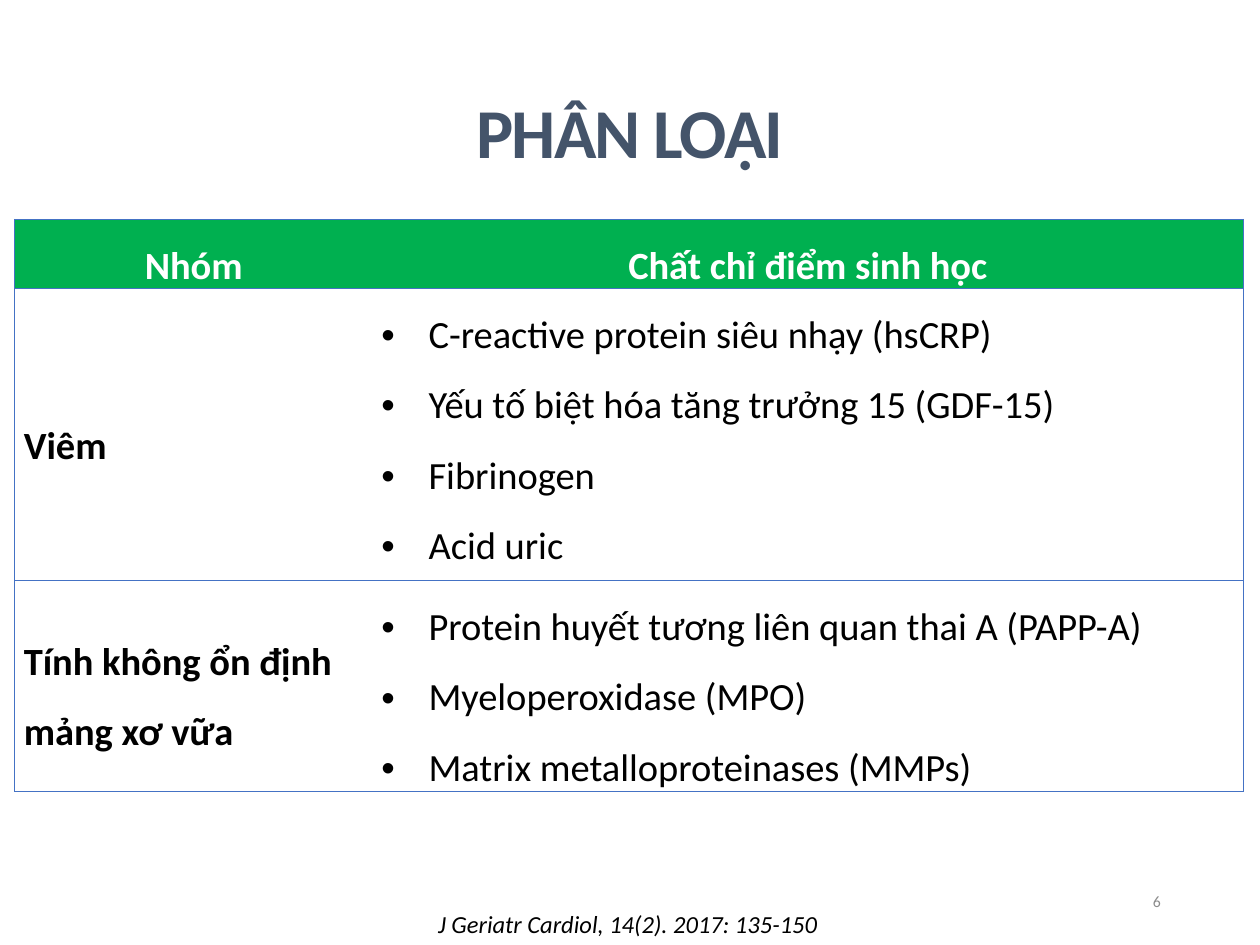
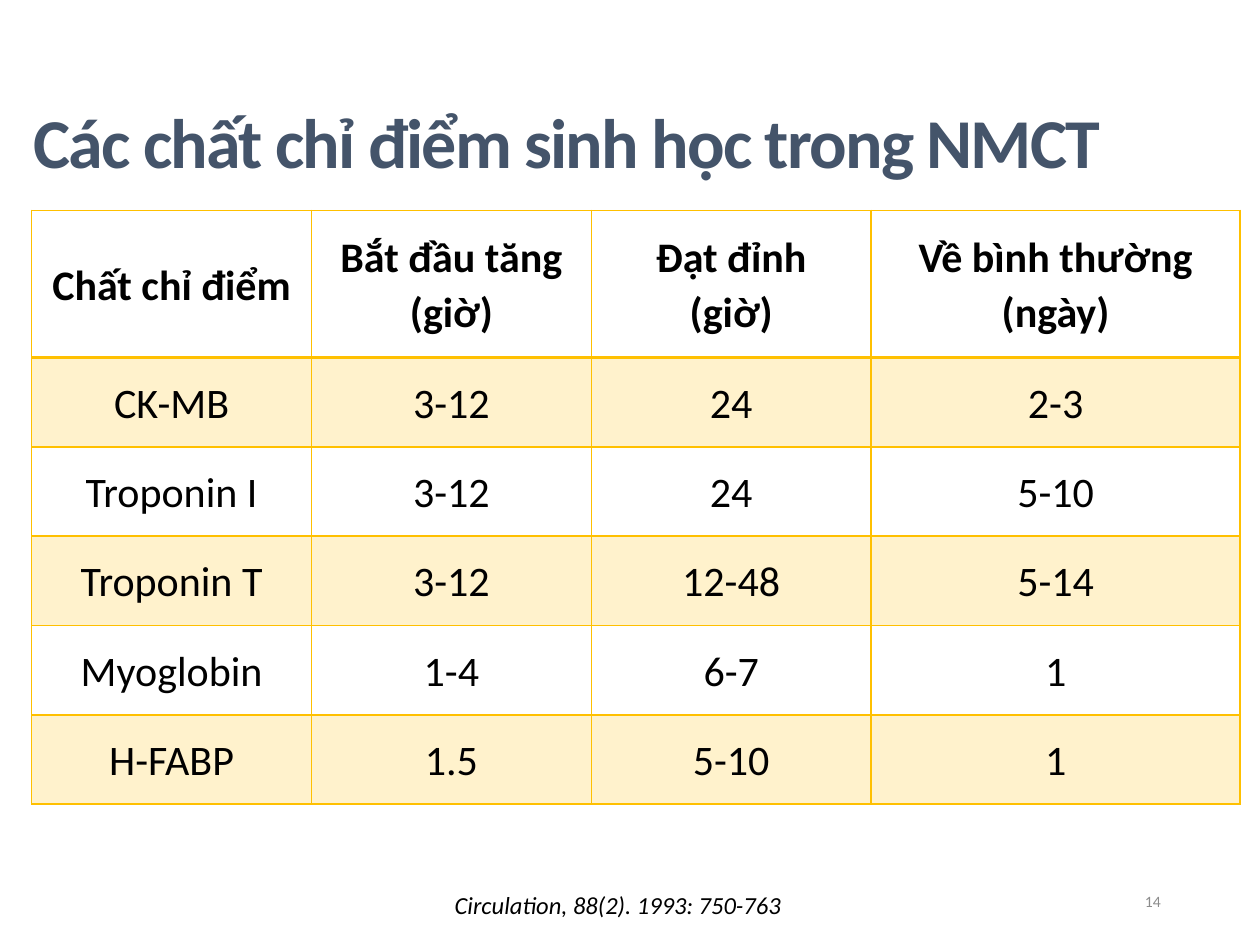
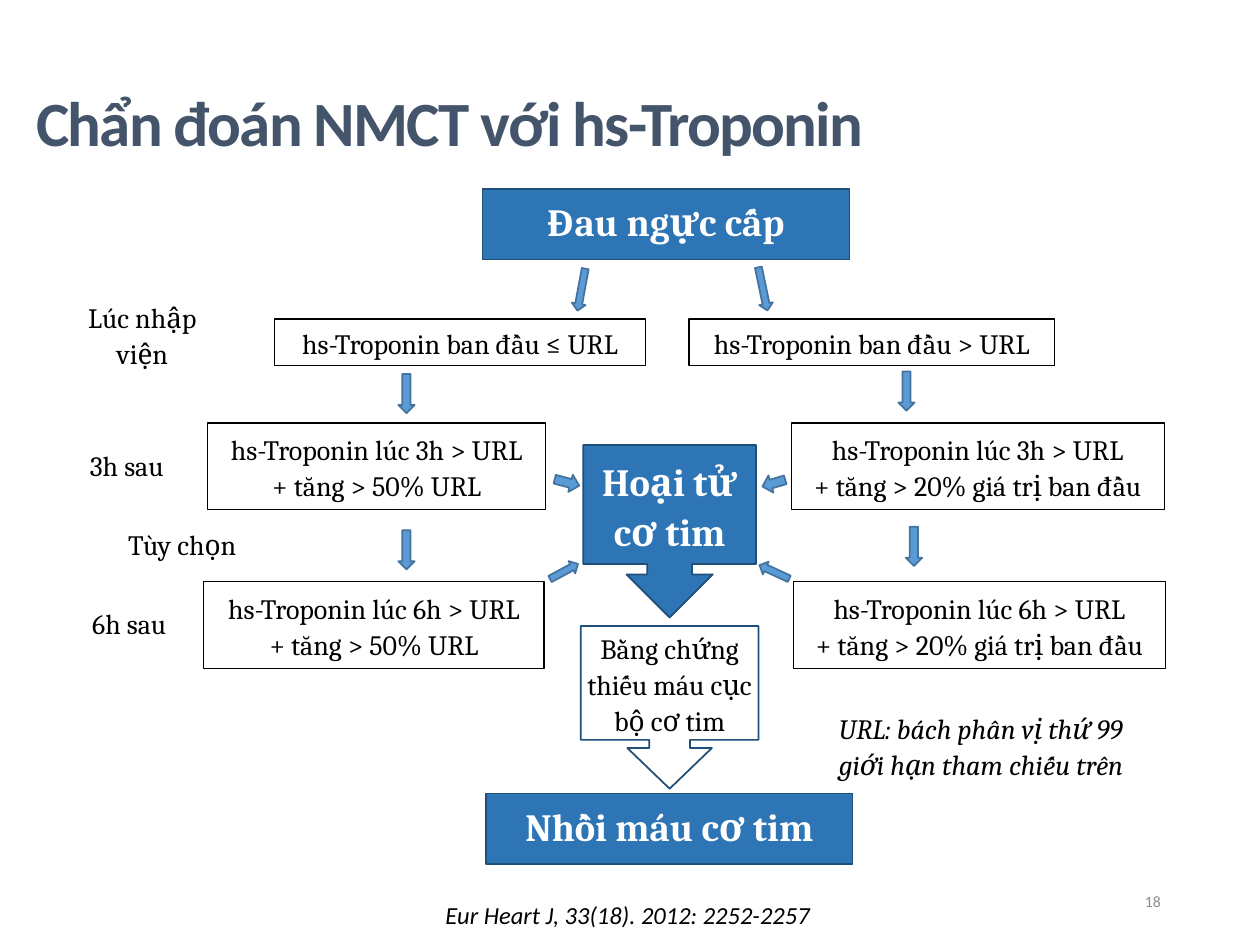
from dataclasses import dataclass, replace
from typing import NamedTuple, Optional

from lxml.etree import SubElement
from pptx import Presentation
from pptx.dml.color import RGBColor
from pptx.enum.shapes import MSO_SHAPE
from pptx.enum.text import MSO_ANCHOR, MSO_AUTO_SIZE, PP_ALIGN
from pptx.oxml.ns import qn
from pptx.util import Cm, Pt

BLACK, WHITE, SLATE, GREY = "000000", "FFFFFF", "44546A", "8C8C8C"
BLUE, NAVY, SKY, STEEL = "2E75B6", "1F4E79", "5B9BD5", "43739E"
GREEN, RULE, GOLD = "00B050", "4472C4", "FFC000"
PLAIN = "{2D5ABB26-0587-4C30-8999-92F81FD0307C}"
LEFT, MID, RIGHT, FULL = PP_ALIGN.LEFT, PP_ALIGN.CENTER, PP_ALIGN.RIGHT, PP_ALIGN.JUSTIFY


@dataclass(frozen=True)
class Look:
    """How a piece of text is set."""
    size: float
    font: str = "Calibri"
    ink: str = BLACK
    bold: bool = False
    slant: bool = False
    align: PP_ALIGN = MID
    lead: Optional[float] = 1.07
    after: Optional[float] = None
    track: int = 0
    dot: bool = False
    mid: bool = True
    tight: bool = False


@dataclass(frozen=True)
class Skin:
    """Fill and outline of a shape."""
    fill: Optional[str]
    line: str
    width: float = 0.75


class Place(NamedTuple):
    """Left, top, width, height and turn; lengths in centimetres."""
    x: float
    y: float
    w: float
    h: float
    turn: float = 0


class Block(NamedTuple):
    """A shape that holds text."""
    place: Place
    text: str
    look: Look
    skin: Skin
    kind: MSO_SHAPE = MSO_SHAPE.RECTANGLE
    bends: tuple = ()


class Edge(NamedTuple):
    """One side of a table cell."""
    side: str
    tint: str
    width: float


TITLE = Look(40, ink=SLATE, bold=True, lead=None, track=-100)
NUMBER = Look(9, ink=GREY, align=RIGHT, lead=None)
SOURCE = Look(14, slant=True, mid=False)

NOTE = Look(16, "Cambria", tight=True)
STEP = replace(NOTE, after=8)
HEAD = Look(22, "Cambria", WHITE, bold=True, after=8, mid=False)
CORE = replace(HEAD, after=None, mid=True)

GROUP = Look(22, bold=True, align=FULL, lead=1.5)
TOP = replace(GROUP, ink=WHITE, align=MID, mid=False)
ITEM = replace(GROUP, bold=False, dot=True, mid=False)
DATA = Look(24)

FRAME = Skin(WHITE, BLACK)
BAR = Skin(BLUE, NAVY)
CALL = Skin(BLUE, NAVY, 1)
CLEAR = Skin(WHITE, NAVY, 1)
GHOST = Skin(None, WHITE)
ARROW = Skin(SKY, STEEL, 1)


def tone(code: str) -> RGBColor:
    """Turn a hex string into a colour."""
    return RGBColor.from_string(code)


def spot(place: Place) -> list:
    """Give the four lengths of a place."""
    return [Cm(n) for n in place[:4]]


def write(frame, text: str, look: Look) -> None:
    """Put text in a frame and format its runs."""
    frame.text = text
    for para in frame.paragraphs:
        if look.dot:
            props = para._p.get_or_add_pPr()
            props.set("marL", str(Cm(0.95)))
            props.set("indent", str(Cm(-0.95)))
            SubElement(props, qn("a:buFont"), typeface="Arial")
            SubElement(props, qn("a:buChar"), char="•")
        para.alignment = look.align
        if look.lead:
            para.line_spacing = look.lead
        if look.after:
            para.space_after = Pt(look.after)
        for run in para.runs:
            font = run.font
            font.name, font.size = look.font, Pt(look.size)
            font.bold, font.italic = look.bold, look.slant
            font.color.rgb = tone(look.ink)
            if look.track:
                run._r.get_or_add_rPr().set("spc", str(look.track))


def fit(frame, look: Look) -> None:
    """Set wrapping, anchor and margins of a frame."""
    frame.word_wrap = True
    frame.vertical_anchor = MSO_ANCHOR.MIDDLE if look.mid else MSO_ANCHOR.TOP
    if look.tight:
        frame.margin_left = frame.margin_right = 0
        frame.margin_top = frame.margin_bottom = 0


def label(slide, place: Place, text: str, look: Look):
    """Add a text box and return its frame."""
    frame = slide.shapes.add_textbox(*spot(place)).text_frame
    fit(frame, look)
    write(frame, text, look)
    return frame


def shape(slide, kind: MSO_SHAPE, place: Place, skin: Skin):
    """Add a preset shape."""
    item = slide.shapes.add_shape(kind, *spot(place))
    item.shadow.inherit = False
    item.rotation = place.turn
    if skin.fill:
        item.fill.solid()
        item.fill.fore_color.rgb = tone(skin.fill)
    else:
        item.fill.background()
    item.line.color.rgb = tone(skin.line)
    item.line.width = Pt(skin.width)
    return item


def block(slide, part: Block) -> None:
    """Add a shape with text."""
    item = shape(slide, part.kind, part.place, part.skin)
    for i, bend in enumerate(part.bends):
        item.adjustments[i] = bend
    fit(item.text_frame, part.look)
    write(item.text_frame, part.text, part.look)


def grid(slide, x: float, y: float, cols: list, rows: list):
    """Add a plain table with the given column widths and row heights."""
    size = Place(x, y, sum(cols), sum(rows))
    table = slide.shapes.add_table(len(rows), len(cols), *spot(size)).table
    table.first_row = table.horz_banding = False
    table._tbl.tblPr.find(qn("a:tableStyleId")).text = PLAIN
    for col, wide in zip(table.columns, cols):
        col.width = Cm(wide)
    for row, high in zip(table.rows, rows):
        row.height = Cm(high)
    return table


def fill(cell, text: str, look: Look, edges: list, tint: str = "", alpha: int = 100) -> None:
    """Set the text, borders and fill of a table cell."""
    cell.margin_left = cell.margin_right = Cm(0.18)
    cell.margin_top = cell.margin_bottom = 0
    cell.vertical_anchor = MSO_ANCHOR.MIDDLE if look.mid else MSO_ANCHOR.TOP
    write(cell.text_frame, text, look)
    props = cell._tc.get_or_add_tcPr()
    for edge in edges:
        line = SubElement(props, qn(f"a:ln{edge.side}"), w=str(Pt(edge.width)))
        SubElement(SubElement(line, qn("a:solidFill")), qn("a:srgbClr"), val=edge.tint)
    if not tint:
        cell.fill.background()
        return
    cell.fill.solid()
    cell.fill.fore_color.rgb = tone(tint)
    if alpha < 100:
        hue = props.find(qn("a:solidFill")).find(qn("a:srgbClr"))
        SubElement(hue, qn("a:alpha"), val=str(alpha * 1000))


def start(deck, title: str, place: Place, look: Look, page: int, cite: str, x: float, y: float):
    """Add a slide with its title, page number and source line."""
    slide = deck.slides.add_slide(deck.slide_layouts[6])
    label(slide, place, title, look)
    label(slide, Place(17.93, 17.65, 5.72, 1.02), str(page), NUMBER)
    foot = label(slide, Place(x, y, 22.94, 0.84), cite, SOURCE)
    foot.auto_size = MSO_AUTO_SIZE.SHAPE_TO_FIT_TEXT
    return slide


def classes(deck) -> None:
    """Build the table of marker groups."""
    slide = start(deck, "PHÂN LOẠI", Place(1.27, 1.27, 22.86, 2.74), TITLE, 6,
                  "J Geriatr Cardiol, 14(2). 2017: 135-150", 1.19, 18.16)
    rows = [
        ("Nhóm", TOP, "Chất chỉ điểm sinh học", TOP, GREEN),
        ("Viêm", GROUP,
         "C-reactive protein siêu nhạy (hsCRP)\nYếu tố biệt hóa tăng trưởng 15 (GDF-15)\n"
         "Fibrinogen\nAcid uric", ITEM, ""),
        ("Tính không ổn định mảng xơ vữa", replace(GROUP, align=LEFT),
         "Protein huyết tương liên quan thai A (PAPP-A)\nMyeloperoxidase (MPO)\n"
         "Matrix metalloproteinases (MMPs)", ITEM, ""),
    ]
    table = grid(slide, 0.3, 4.42, [7.21, 17.55], [1.3, 5.89, 4.24])
    for r, (group, bold, items, look, tint) in enumerate(rows):
        for c, (text, style) in enumerate([(group, bold), (items, look)]):
            edges = [Edge(side, RULE, 0.5) for side in ("LTB", "RTB")[c]]
            fill(table.cell(r, c), text, style, edges, tint)


def times(deck) -> None:
    """Build the table of marker times."""
    slide = start(deck, "Các chất chỉ điểm sinh học trong NMCT", Place(0.43, 1.47, 22.76, 2.74),
                  replace(TITLE, align=LEFT), 14, "Circulation, 88(2). 1993: 750-763", 0.99, 17.78)
    rows = [
        ("Chất chỉ điểm", "Bắt đầu tăng\n(giờ)", "Đạt đỉnh\n(giờ)", "Về bình thường\n(ngày)"),
        ("CK-MB", "3-12", "24", "2-3"),
        ("Troponin I", "3-12", "24", "5-10"),
        ("Troponin T", "3-12", "12-48", "5-14"),
        ("Myoglobin", "1-4", "6-7", "1"),
        ("H-FABP", "1.5", "5-10", "1"),
    ]
    table = grid(slide, 0.64, 4.24, [5.64] * 3 + [7.44], [2.97] + [1.8] * 5)
    for r, row in enumerate(rows):
        look = replace(DATA, bold=r == 0)
        thick = {0: "B", 1: "T"}.get(r, "")
        edges = [Edge(side, GOLD, 2 if side == thick else 1) for side in "LRTB"]
        for c, text in enumerate(row):
            fill(table.cell(r, c), text, look, edges, GOLD if r % 2 else "", 20)


def chart(deck) -> None:
    """Build the flow of the diagnosis."""
    slide = start(deck, "Chẩn đoán NMCT với hs-Troponin", Place(0.48, 1.07, 22.76, 2.74),
                  replace(TITLE, size=36, align=LEFT), 18,
                  "Eur Heart J, 33(18). 2012: 2252-2257", 1.19, 17.98)
    notes = [
        (Place(1.55, 6.02, 2.64, 1.45), "Lúc nhập viện"),
        (Place(1.27, 8.64, 2.57, 1.45), "3h sau"),
        (Place(2.39, 10.41, 2.57, 1.07), "Tùy chọn"),
        (Place(1.32, 11.81, 2.57, 1.45), "6h sau"),
    ]
    for place, text in notes:
        label(slide, place, text, NOTE)

    low, high = "+ tăng > 50% URL", "+ tăng > 20% giá trị ban đầu"
    tests = [
        (Place(4.19, 8.53, 6.81, 1.75), "3h", low),
        (Place(15.95, 8.53, 7.52, 1.75), "3h", high),
        (Place(4.11, 11.73, 6.86, 1.75), "6h", low),
        (Place(16, 11.73, 7.49, 1.75), "6h", high),
    ]
    call = MSO_SHAPE.DOWN_ARROW_CALLOUT
    parts = [
        Block(Place(9.73, 3.81, 7.39, 1.42), "Đau ngực cấp", HEAD, BAR),
        Block(Place(5.54, 6.43, 7.47, 0.94), "hs-Troponin ban đầu ≤ URL", STEP, FRAME),
        Block(Place(13.89, 6.43, 7.37, 0.94), "hs-Troponin ban đầu > URL", STEP, FRAME),
        Block(Place(11.76, 8.97, 3.48, 3.48), "Hoại tử cơ tim", CORE, CALL, call,
              (0.26, 0.25, 0.25, 0.69)),
        Block(Place(11.71, 12.62, 3.58, 3.28), "Bằng chứng thiếu máu cục bộ cơ tim", NOTE, CLEAR,
              call, (0.25, 0.26, 0.25, 0.7)),
        Block(Place(16.64, 14.3, 6.27, 1.45), "URL: bách phân vị thứ 99 giới hạn tham chiếu trên",
              replace(NOTE, slant=True), GHOST),
        Block(Place(9.8, 16, 7.39, 1.42), "Nhồi máu cơ tim", HEAD, BAR),
    ]
    parts += [Block(place, f"hs-Troponin lúc {hour} > URL\n{rise}", NOTE, FRAME)
              for place, hour, rise in tests]
    for part in parts:
        block(slide, part)

    drops = [(8.03, 7.54), (18.11, 7.49), (8.03, 10.69), (18.26, 10.62)]
    arrows = [Place(x, y, 0.33, 0.79) for x, y in drops] + [
        Place(11.58, 5.41, 0.28, 0.86, 10.5),
        Place(15.24, 5.38, 0.28, 0.89, 348.1),
        Place(11.25, 9.47, 0.36, 0.51, 284.7),
        Place(15.42, 9.5, 0.36, 0.48, 73.6),
        Place(11.23, 11.2, 0.28, 0.64, 241.7),
        Place(15.47, 11.2, 0.28, 0.66, 114.7),
    ]
    for place in arrows:
        shape(slide, MSO_SHAPE.DOWN_ARROW, place, ARROW)


def main() -> None:
    """Build and save the deck."""
    deck = Presentation()
    deck.slide_width, deck.slide_height = Cm(25.4), Cm(19.05)
    for build in (classes, times, chart):
        build(deck)
    deck.save("out.pptx")


if __name__ == "__main__":
    main()
